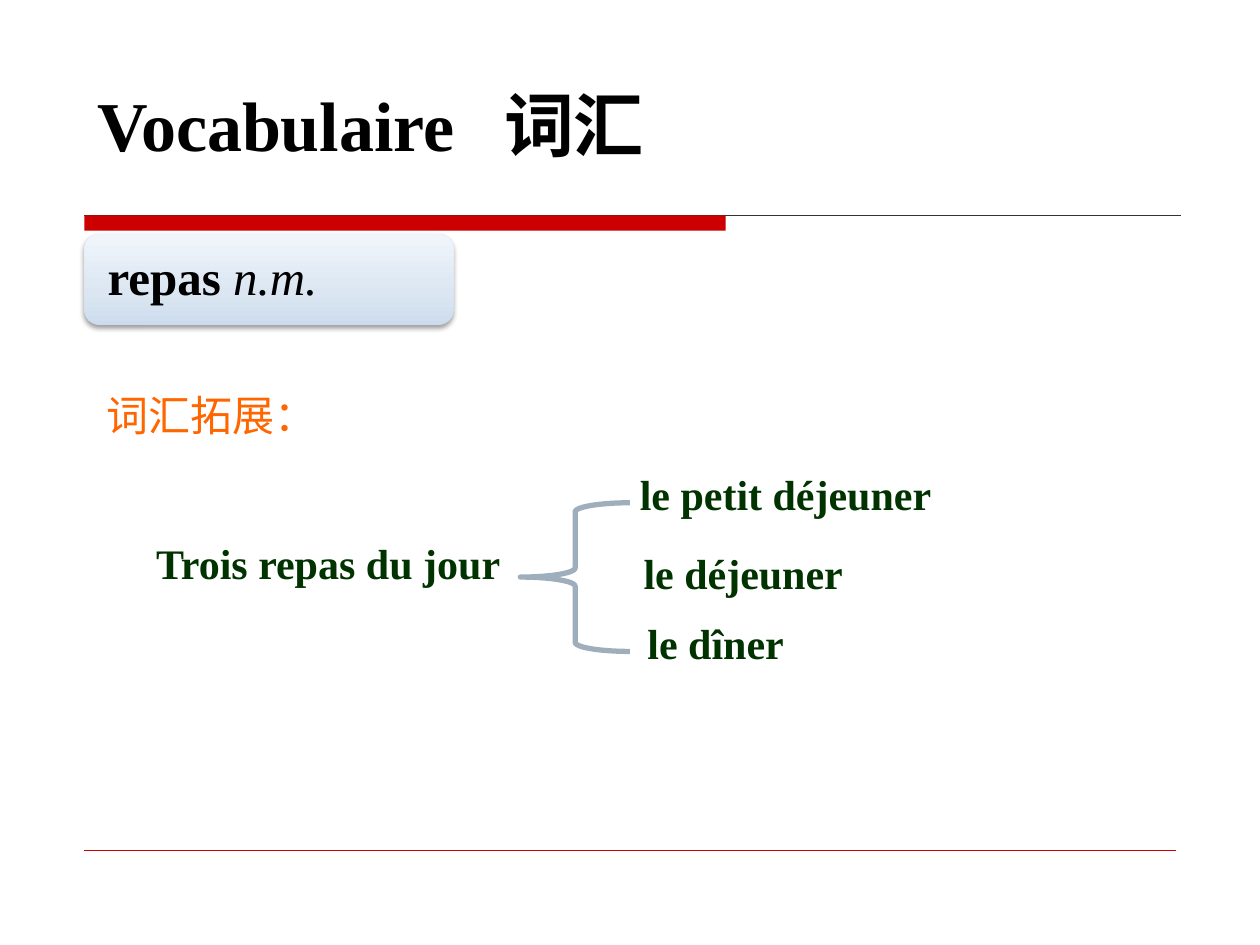
from dataclasses import dataclass

from lxml import etree
from pptx import Presentation
from pptx.dml.color import RGBColor
from pptx.enum.shapes import MSO_CONNECTOR, MSO_SHAPE
from pptx.enum.text import MSO_ANCHOR, MSO_AUTO_SIZE, PP_ALIGN
from pptx.oxml.ns import qn
from pptx.util import Inches, Pt

STRAIGHT = MSO_CONNECTOR.STRAIGHT
RECTANGLE, ROUNDED, BRACE = (
    MSO_SHAPE.RECTANGLE, MSO_SHAPE.ROUNDED_RECTANGLE, MSO_SHAPE.LEFT_BRACE)
TOP, MIDDLE = MSO_ANCHOR.TOP, MSO_ANCHOR.MIDDLE
LEFT = PP_ALIGN.LEFT
NO_FIT = MSO_AUTO_SIZE.NONE

LATIN, CHINESE = "Times New Roman", "Noto Sans CJK SC"
BLACK, RED, GREEN, ORANGE = "000000", "CC0000", "003300", "FF6600"
RULE, BRACE_GREY = "333333", "9FAEBD"
CARD_STOPS = ((0, "CCDCEE"), (35, "DBE6F2"), (100, "F0F5FB"))

# The slide is a grid of 100 columns by 75 rows.
COLUMNS, ROWS = 100, 75
MARGIN = 6.7


@dataclass(frozen=True)
class Box:
    col: float
    row: float
    cols: float
    rows: float

    def emu(self) -> tuple:
        return (grid(self.col), grid(self.row), grid(self.cols), grid(self.rows))


@dataclass(frozen=True)
class Label:
    text: str
    box: Box
    color: str = GREEN
    font: str = LATIN
    bold: bool = True
    wrap: bool = False


LABELS = (
    Label("词汇拓展：", Box(7.5, 30.4, 20.5, 5.1), ORANGE, CHINESE, False, True),
    Label("Trois repas du jour", Box(11.4, 42.2, 32.3, 5), wrap=True),
    Label("le petit déjeuner", Box(49.8, 36.7, 25.4, 5)),
    Label("le déjeuner", Box(50.1, 43, 18, 5)),
    Label("le dîner", Box(50.4, 48.5, 12.9, 5)),
)


def grid(cells: float) -> int:
    return Inches(10 * cells / COLUMNS)


def rgb(value: str) -> RGBColor:
    return RGBColor.from_string(value)


def add_text(p, text: str, *, size: float, color: str = BLACK, font: str = LATIN,
             bold: bool = False, italic: bool = False) -> None:
    r = p.add_run()
    r.text = text
    f = r.font
    f.size, f.name, f.bold, f.italic = Pt(size), font, bold, italic
    f.color.rgb = rgb(color)
    etree.SubElement(r._r.get_or_add_rPr(), qn("a:ea"), typeface=CHINESE)


def add_title(slide, box: Box) -> None:
    sp = slide.shapes.title
    sp.left, sp.top, sp.width, sp.height = box.emu()
    tf = sp.text_frame
    tf.auto_size, tf.vertical_anchor = NO_FIT, TOP
    p = tf.paragraphs[0]
    p.alignment = LEFT
    tabs = etree.SubElement(p._p.get_or_add_pPr(), qn("a:tabLst"))
    etree.SubElement(tabs, qn("a:tab"), pos=str(grid(32.3)), algn="l")
    add_text(p, "Vocabulaire\t词汇", size=40, bold=True)


def add_line(slide, row: float, start: float, end: float, color: str,
             width: float) -> None:
    line = slide.shapes.add_connector(
        STRAIGHT, grid(start), grid(row), grid(end), grid(row))
    line.line.color.rgb = rgb(color)
    line.line.width = Pt(width)
    etree.SubElement(line._element.spPr, qn("a:effectLst"))


def add_plain_shape(slide, kind, box: Box):
    """Add a shape without fill, line or shadow."""
    sp = slide.shapes.add_shape(kind, *box.emu())
    sp.shadow.inherit = False
    sp.fill.background()
    sp.line.fill.background()
    return sp


def add_word_card(slide, box: Box) -> None:
    sp = add_plain_shape(slide, ROUNDED, box)
    sp.fill.gradient()
    sp.fill.gradient_angle = 90
    stops = sp._element.spPr.find(".//" + qn("a:gsLst"))
    stops.clear()
    for share, color in CARD_STOPS:
        stop = etree.SubElement(stops, qn("a:gs"), pos=str(share * 1000))
        etree.SubElement(stop, qn("a:srgbClr"), val=color)

    effects = sp._element.spPr.find(qn("a:effectLst"))
    shadow = etree.SubElement(
        effects, qn("a:outerShdw"), blurRad=str(Pt(3.1)), dist=str(Pt(1.6)),
        dir="5400000", rotWithShape="0")
    shade = etree.SubElement(shadow, qn("a:srgbClr"), val=BLACK)
    etree.SubElement(shade, qn("a:alpha"), val="38000")

    tf = sp.text_frame
    tf.word_wrap, tf.vertical_anchor = True, MIDDLE
    tf.margin_left = grid(1.5)
    p = tf.paragraphs[0]
    p.alignment, p.line_spacing = LEFT, 0.9
    add_text(p, "repas ", size=28, bold=True)
    add_text(p, "n.m.", size=28, italic=True)


def add_label(slide, label: Label) -> None:
    tf = slide.shapes.add_textbox(*label.box.emu()).text_frame
    tf.word_wrap = label.wrap
    add_text(tf.paragraphs[0], label.text, size=24, color=label.color,
             font=label.font, bold=label.bold)


def main() -> None:
    prs = Presentation()
    prs.slide_width, prs.slide_height = grid(COLUMNS), grid(ROWS)
    slide = prs.slides.add_slide(prs.slide_layouts[5])

    add_title(slide, Box(MARGIN, 6, 78, 7.7))
    add_line(slide, 17.1, MARGIN, 93.7, RULE, 0.75)
    bar = add_plain_shape(slide, RECTANGLE, Box(MARGIN, 17.1, 50.9, 1.2))
    bar.fill.solid()
    bar.fill.fore_color.rgb = rgb(RED)
    add_line(slide, 67.5, MARGIN, 93.3, RED, 0.25)

    add_word_card(slide, Box(MARGIN, 18.6, 29.3, 7.2))
    brace = add_plain_shape(slide, BRACE, Box(41.3, 39.9, 8.7, 11.8))
    brace.line.color.rgb = rgb(BRACE_GREY)
    brace.line.width = Pt(3)
    for label in LABELS:
        add_label(slide, label)

    prs.save("out.pptx")


if __name__ == "__main__":
    main()
